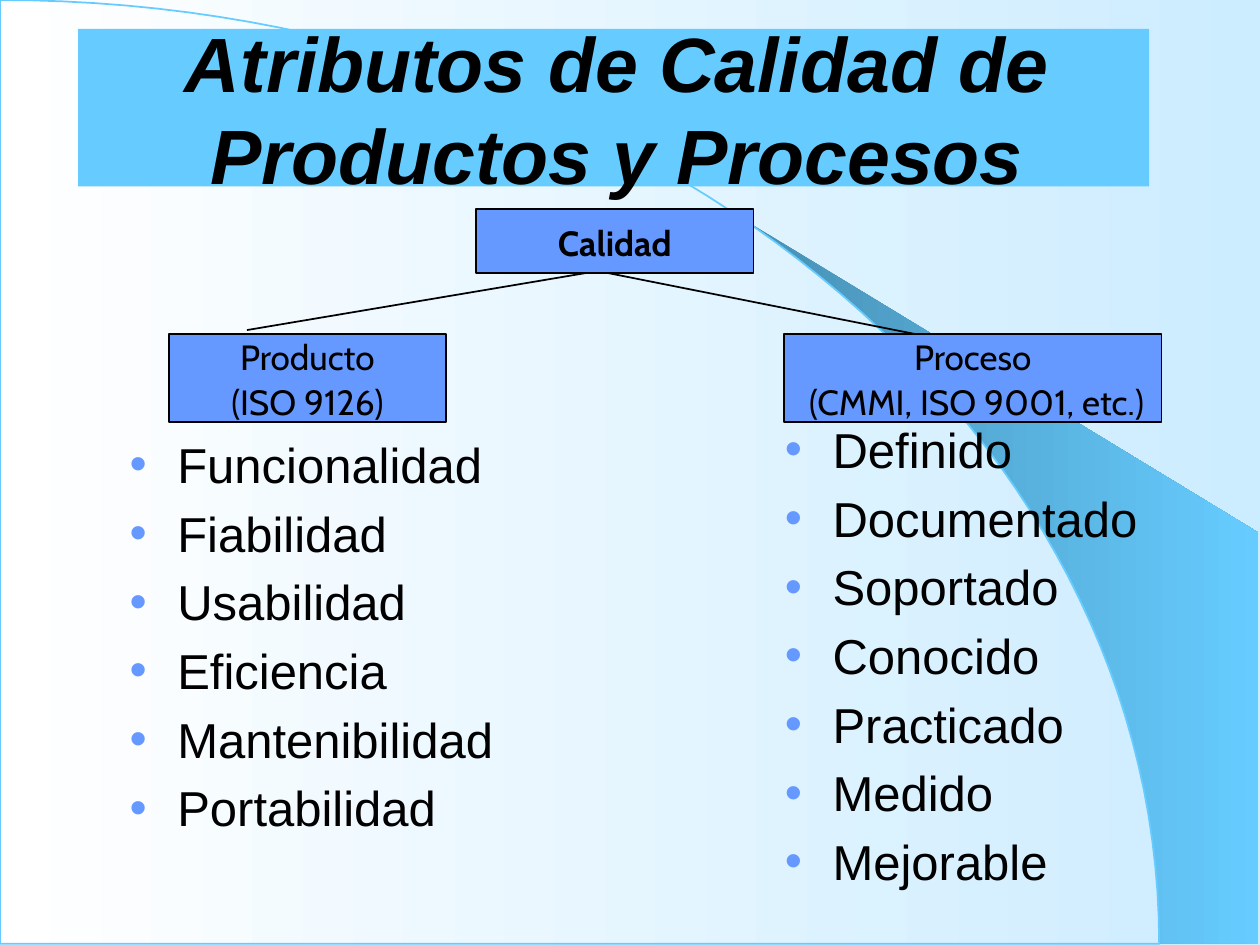
import dataclasses

import pptx
import pptx.dml.color
import pptx.enum.dml
import pptx.enum.shapes
import pptx.enum.text
import pptx.oxml
import pptx.oxml.ns
import pptx.util

COLUMNS, ROWS = 100, 75
CELL = pptx.util.Inches(0.1)
CENTER = pptx.enum.text.PP_ALIGN.CENTER
MIDDLE = pptx.enum.text.MSO_ANCHOR.MIDDLE
TOP = pptx.enum.text.MSO_ANCHOR.TOP


@dataclasses.dataclass(frozen=True)
class Theme:
    ink: str = "000000"
    paper: str = "FFFFFF"
    haze: str = "CCECFF"
    sky: str = "66CCFF"
    deep_sky: str = "478FB3"
    box: str = "6699FF"
    body_font: str = "Arial"
    box_font: str = "Cabin"
    title_size: int = 44
    list_size: int = 28
    box_size: int = 20
    line_width: int = 1


def rgb(value):
    return pptx.dml.color.RGBColor.from_string(value)


def cells(*counts):
    return [round(count * CELL) for count in counts]


def add_gradient(fill, *colors):
    """Fill from left to right with two colours."""
    fill.gradient()
    fill.gradient_angle = 0
    for stop, color in zip(fill.gradient_stops, colors):
        stop.color.rgb = rgb(color)


def add_bullet(paragraph, color):
    properties = paragraph._p.get_or_add_pPr()
    properties.set("marL", str(pptx.util.Inches(0.38)))
    properties.set("indent", str(-pptx.util.Inches(0.38)))
    namespace = pptx.oxml.ns.nsdecls("a")
    for xml in (
        f'<a:buClr {namespace}><a:srgbClr val="{color}"/></a:buClr>',
        f'<a:buFont {namespace} typeface="Arial"/>',
        f'<a:buChar {namespace} char="•"/>',
    ):
        properties.append(pptx.oxml.parse_xml(xml))


def write(frame, lines, *, font, size, color, bold=False, italic=False, align=None,
          anchor=TOP, spacing=None, gap=0, bullet=None):
    frame.word_wrap = True
    frame.auto_size = pptx.enum.text.MSO_AUTO_SIZE.NONE
    frame.vertical_anchor = anchor
    for index, line in enumerate(lines):
        paragraph = frame.add_paragraph() if index else frame.paragraphs[0]
        paragraph.alignment = align
        paragraph.line_spacing = spacing
        paragraph.space_before = pptx.util.Pt(gap if index else 0)
        if bullet:
            add_bullet(paragraph, bullet)
        run = paragraph.add_run()
        run.text = line
        run.font.name, run.font.size = font, pptx.util.Pt(size)
        run.font.bold, run.font.italic = bold, italic
        run.font.color.rgb = rgb(color)


def arc_points(start=0.0, steps=60):
    """Points on the Bezier arc from (0, 0) to the bottom edge, from share start on."""
    points = []
    for step in range(steps + 1):
        t = start + (1 - start) * step / steps
        first, second, last = 3 * (1 - t) ** 2 * t, 3 * (1 - t) * t ** 2, t ** 3
        points.append((50.8 * first + 92 * (second + last), 33.5 * second + 74.9 * last))
    return points


class SlideBuilder:
    """Draws on one slide; all lengths are columns and rows of the grid."""

    def __init__(self, deck, theme):
        self.theme = theme
        self.slide = deck.slides.add_slide(deck.slide_layouts.get_by_name("Title Only"))
        self.shapes = self.slide.shapes

    def background(self):
        add_gradient(self.slide.background.fill, self.theme.paper, self.theme.haze)

    def outline(self, line):
        line.color.rgb = rgb(self.theme.ink)
        line.width = pptx.util.Pt(self.theme.line_width)

    def polygon(self, points):
        corners = [cells(*point) for point in points]
        builder = self.shapes.build_freeform(*corners[0], scale=1.0)
        builder.add_line_segments(corners[1:], close=True)
        polygon = builder.convert_to_shape()
        polygon.shadow.inherit = False
        return polygon

    def wedge(self):
        wedge = self.polygon(arc_points(start=0.44) + [(99.9, 74.9), (99.9, 42.3)])
        add_gradient(wedge.fill, self.theme.deep_sky, self.theme.sky)
        wedge.line.fill.background()

    def arc(self):
        arc = self.polygon(arc_points() + [(0, 74.9)])
        arc.fill.background()
        self.outline(arc.line)
        arc.line.color.rgb = rgb(self.theme.sky)

    def branch(self, *ends):
        branch = self.shapes.add_connector(
            pptx.enum.shapes.MSO_CONNECTOR.STRAIGHT, *cells(*ends))
        self.outline(branch.line)
        branch._element.spPr.append(
            pptx.oxml.parse_xml(f'<a:effectLst {pptx.oxml.ns.nsdecls("a")}/>'))

    def box(self, area, lines, bold=False):
        box = self.shapes.add_shape(pptx.enum.shapes.MSO_SHAPE.RECTANGLE, *cells(*area))
        box.shadow.inherit = False
        box.fill.solid()
        box.fill.fore_color.rgb = rgb(self.theme.box)
        self.outline(box.line)
        write(box.text_frame, lines, font=self.theme.box_font, size=self.theme.box_size,
              color=self.theme.ink, bold=bold, align=CENTER, anchor=MIDDLE, spacing=1.05)

    def bullets(self, area, items):
        column = self.shapes.add_textbox(*cells(*area))
        write(column.text_frame, items, font=self.theme.body_font,
              size=self.theme.list_size, color=self.theme.ink, gap=5.6,
              bullet=self.theme.box)

    def title(self, area, text):
        """Format the title placeholder and bring it to the front."""
        title = self.shapes.title
        title.left, title.top, title.width, title.height = cells(*area)
        title.fill.solid()
        title.fill.fore_color.rgb = rgb(self.theme.sky)
        write(title.text_frame, [text], font=self.theme.body_font,
              size=self.theme.title_size, color=self.theme.ink, bold=True, italic=True,
              align=CENTER, anchor=MIDDLE)
        indent = str(pptx.util.Inches(0.06))
        title.text_frame.paragraphs[0]._p.get_or_add_pPr().set("marL", indent)
        self.shapes._spTree.append(title._element)


def main():
    deck = pptx.Presentation()
    deck.slide_width, deck.slide_height = cells(COLUMNS, ROWS)
    page = SlideBuilder(deck, Theme())
    page.background()
    page.wedge()
    page.arc()
    page.branch(48.7, 21.3, 19.6, 26.2)
    page.branch(47.4, 21.5, 78.6, 27.7)
    page.bullets((9.3, 34, 35, 34.4), [
        "Funcionalidad", "Fiabilidad", "Usabilidad", "Eficiencia", "Mantenibilidad",
        "Portabilidad"])
    page.bullets((61.3, 32.8, 30.8, 36.1), [
        "Definido", "Documentado", "Soportado", "Conocido", "Practicado", "Medido",
        "Mejorable"])
    page.box((37.8, 16.6, 22, 5.1), ["Calidad"], bold=True)
    page.box((13.4, 26.5, 22, 7), ["Producto", "(ISO 9126)"])
    page.box((62.2, 26.5, 30, 7), ["Proceso", " (CMMI, ISO 9001, etc.)"])
    page.title((6.2, 2.3, 85, 12.5), "Atributos de Calidad de Productos y Procesos")
    deck.save("out.pptx")


if __name__ == "__main__":
    main()
